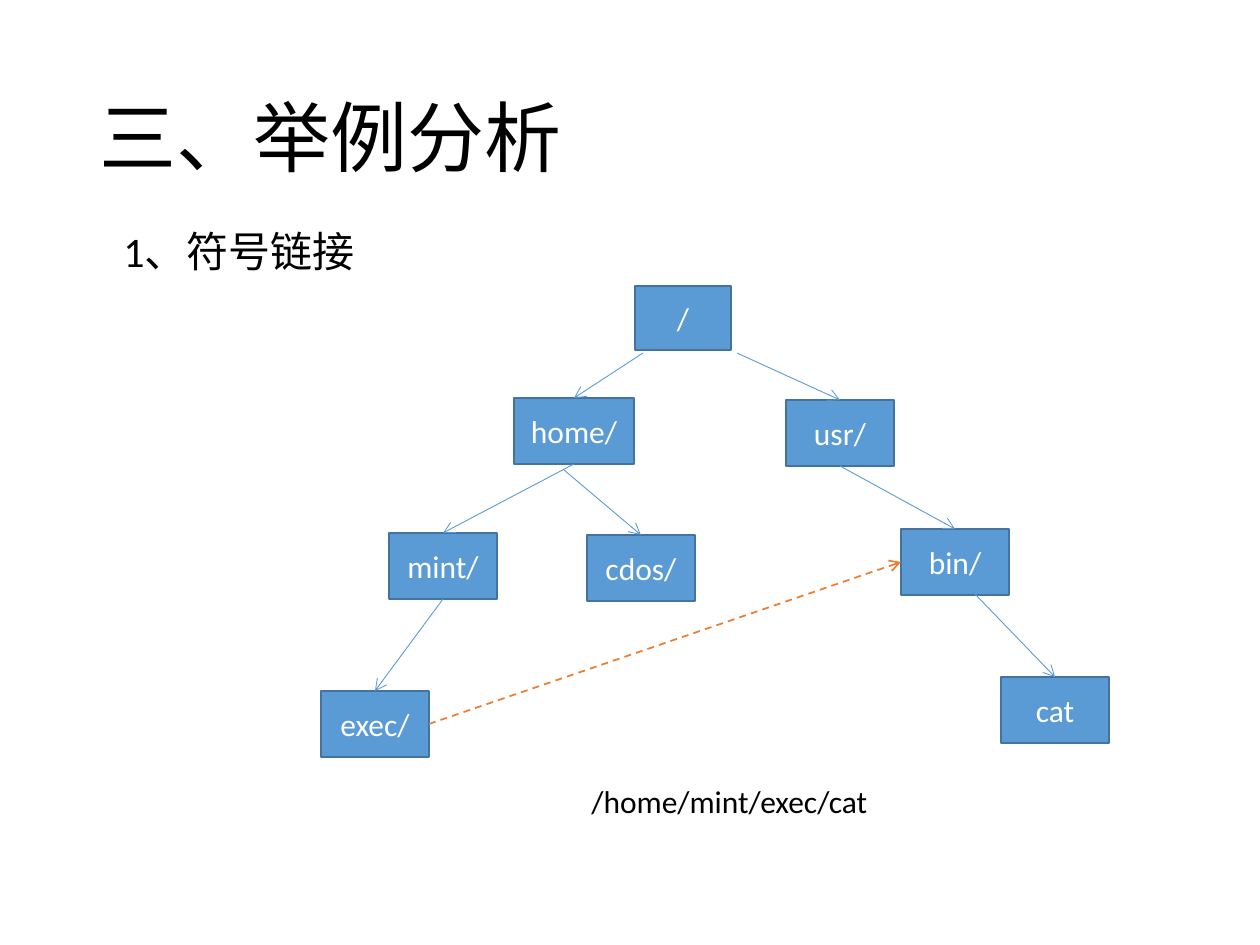
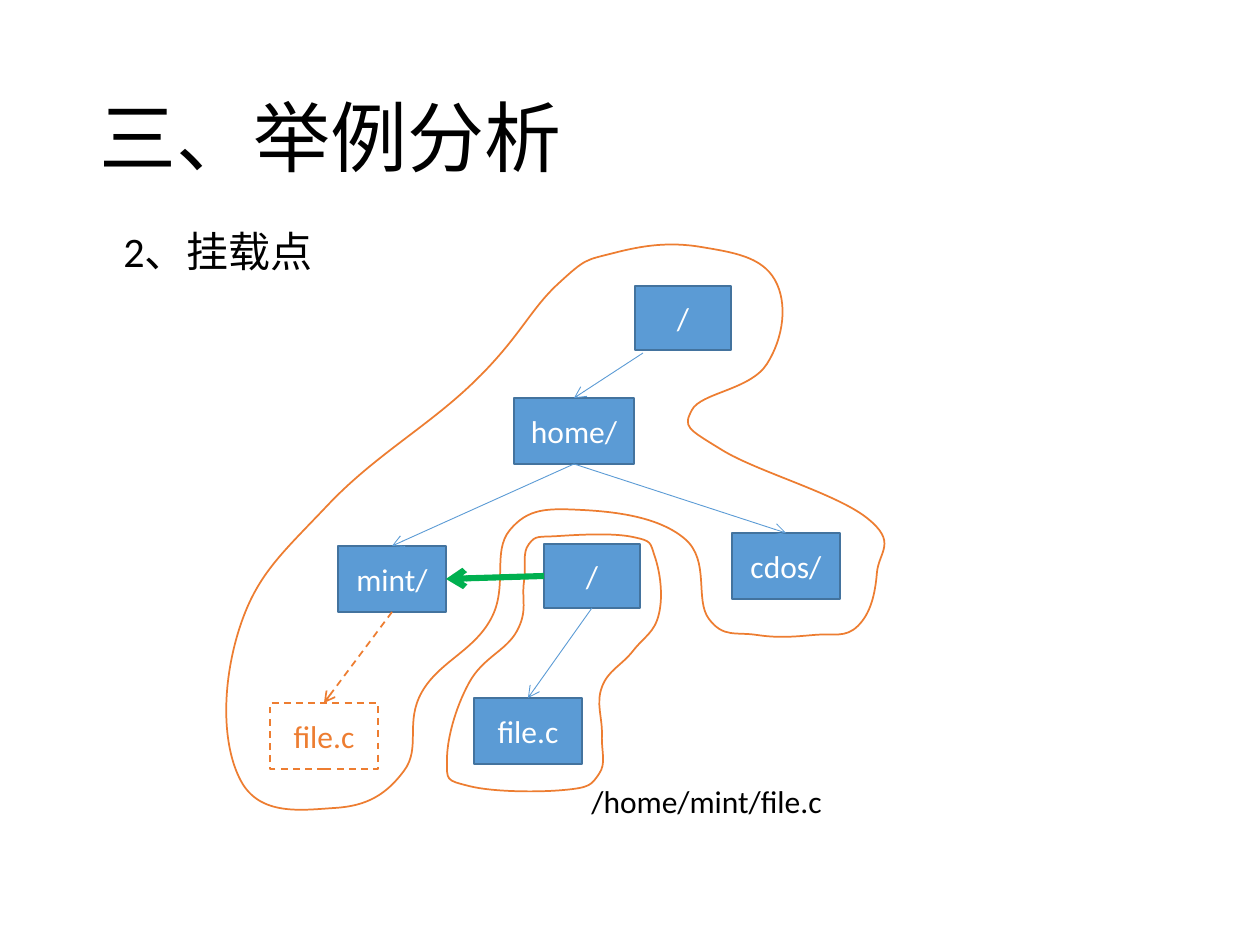
from lxml.etree import SubElement
from pptx import Presentation
from pptx.dml.color import RGBColor
from pptx.enum.dml import MSO_LINE
from pptx.enum.shapes import MSO_CONNECTOR, MSO_SHAPE
from pptx.enum.text import MSO_ANCHOR, MSO_AUTO_SIZE, PP_ALIGN
from pptx.oxml.ns import qn
from pptx.util import Pt

# Shared look
FONT = "Calibri"
BLACK, WHITE = "000000", "FFFFFF"
BLUE, DARK_BLUE, ORANGE, GREEN = "5B9BD5", "43739E", "ED7D31", "00B050"
PX_PER_INCH = 126
TITLE_BOX = (87, 50, 1087, 183)
HEADING_BOX = (111, 219, 329, 67)
CAPTION_BOX = (579, 776, 354, 53)
TREE_ORIGIN = (270, 286)
ROOT_SIZE, HOME_SIZE, NODE_SIZE = (96, 64), (120, 66), (108, 66)
TOP, LEFT, BOTTOM, RIGHT = range(4)  # connection sites of a rectangle

# Directory trees: key -> (label, offset, size)
SHARED_NODES = {
    "root": ("/", (365, 0), ROOT_SIZE),
    "home": ("home/", (244, 112), HOME_SIZE),
}
LINK_NODES = SHARED_NODES | {
    "mint": ("mint/", (119, 247), NODE_SIZE),
    "cdos": ("cdos/", (317, 249), NODE_SIZE),
    "usr": ("usr/", (516, 114), NODE_SIZE),
    "bin": ("bin/", (631, 243), NODE_SIZE),
    "exec": ("exec/", (51, 405), NODE_SIZE),
    "cat": ("cat", (731, 391), NODE_SIZE),
}
MOUNT_NODES = SHARED_NODES | {
    "mint": ("mint/", (68, 260), NODE_SIZE),
    "cdos": ("cdos/", (462, 247), NODE_SIZE),
    "visible file": ("file.c", (0, 417), NODE_SIZE),
    "mounted root": ("/", (274, 258), ROOT_SIZE),
    "mounted file": ("file.c", (204, 412), NODE_SIZE),
}

# Branches: (parent, child, free start offset or None)
LINK_BRANCHES = [
    ("root", "home", (373, 67)), ("home", "mint", None),
    ("root", "usr", (467, 67)), ("usr", "bin", None),
    ("bin", "cat", (703, 306)), ("home", "cdos", (294, 184)),
    ("mint", "exec", None),
]
MOUNT_BRANCHES = [
    ("root", "home", (373, 67)), ("home", "mint", None),
    ("home", "cdos", None), ("mounted root", "mounted file", None),
]

# Outlines around the two file systems: box and the knots of the curve
HOST_BOX = (-43, -42, 658, 565)
HOST_KNOTS = [
    (65, 522), (134, 485), (152, 406), (221, 333), (240, 244), (312, 224),
    (415, 253), (439, 333), (487, 349), (544, 349), (588, 340), (607, 287),
    (597, 232), (452, 164), (422, 124), (497, 78), (505, -6), (431, -39),
    (344, -33), (288, -2), (203, 97), (58, 219), (-31, 344), (-29, 495),
]
MOUNTED_BOX = (177, 248, 214, 257)
MOUNTED_KNOTS = [
    (199, 397), (247, 345), (254, 296), (259, 258), (289, 250), (363, 251),
    (385, 271), (389, 328), (363, 365), (332, 401), (332, 449), (329, 488),
    (294, 504), (199, 500), (177, 474),
]


def px(value):
    return round(value * 914400 / PX_PER_INCH)


def color(hex_string):
    return RGBColor.from_string(hex_string)


def from_origin(offset):
    return tuple(start + step for start, step in zip(TREE_ORIGIN, offset))


def place(shape, box):
    shape.left, shape.top, shape.width, shape.height = map(px, box)


def write(frame, text, size=18, ink=BLACK, align=PP_ALIGN.LEFT,
          anchor=MSO_ANCHOR.TOP, spacing=None):
    frame.word_wrap = True
    frame.auto_size = MSO_AUTO_SIZE.NONE
    frame.vertical_anchor = anchor
    paragraph = frame.paragraphs[0]
    paragraph.alignment = align
    paragraph.line_spacing = spacing
    run = paragraph.add_run()
    run.text = text
    run.font.name = FONT
    run.font.size = Pt(size)
    run.font.color.rgb = color(ink)


def set_line(line, ink, width, dashed=False):
    line.color.rgb = color(ink)
    line.width = Pt(width)
    if dashed:
        line.dash_style = MSO_LINE.DASH


def add_text(slide, box, text, **text_format):
    label = slide.shapes.add_textbox(*map(px, box))
    write(label.text_frame, text, **text_format)


def add_node(slide, label, offset, size, ghost=False):
    box = (*from_origin(offset), *size)
    node = slide.shapes.add_shape(MSO_SHAPE.RECTANGLE, *map(px, box))
    node.shadow.inherit = False
    node.fill.solid()
    node.fill.fore_color.rgb = color(WHITE if ghost else BLUE)
    set_line(node.line, ORANGE if ghost else DARK_BLUE, 1, ghost)
    write(node.text_frame, label, ink=ORANGE if ghost else WHITE,
          align=PP_ALIGN.CENTER, anchor=MSO_ANCHOR.MIDDLE)
    return node


def add_arrow(slide, parent, child, sites=(BOTTOM, TOP), start=None,
              ink=BLUE, width=0.5, dashed=False):
    x, y = map(px, from_origin(start or (0, 0)))
    arrow = slide.shapes.add_connector(MSO_CONNECTOR.STRAIGHT, x, y, x, y)
    if start is None:
        arrow.begin_connect(parent, sites[0])
    arrow.end_connect(child, sites[1])
    set_line(arrow.line, ink, width, dashed)
    SubElement(arrow.line._get_or_add_ln(), qn("a:tailEnd"), type="arrow")
    SubElement(arrow._element.spPr, qn("a:effectLst"))


def curve_handles(before, a, b, after, tension=0.2):
    """Control points from a to b, steered by the neighbouring knots."""
    leave = tuple(p + tension * (q - o) for o, p, q in zip(before, a, b))
    arrive = tuple(q - tension * (r - p) for p, q, r in zip(a, b, after))
    return leave, arrive


def add_outline(slide, box, knots):
    builder = slide.shapes.build_freeform(*knots[0], scale=px(1))
    builder.add_line_segments([*knots[1:], knots[0]], close=True)
    outline = builder.convert_to_shape()
    left, top, width, height = box
    place(outline, (*from_origin((left, top)), width, height))
    outline.shadow.inherit = False
    outline.fill.background()
    set_line(outline.line, ORANGE, 1)

    # Bend the straight segments into smooth curves
    curve = outline._element.find(".//" + qn("a:path"))
    curve.set("w", str(px(width)))
    curve.set("h", str(px(height)))

    def add_point(parent, point):
        SubElement(parent, qn("a:pt"), x=str(px(point[0] - left)),
                   y=str(px(point[1] - top)))

    for part in list(curve):
        curve.remove(part)
    add_point(SubElement(curve, qn("a:moveTo")), knots[0])
    for i in range(len(knots)):
        before, a, b, after = (knots[(i + k) % len(knots)]
                               for k in (-1, 0, 1, 2))
        segment = SubElement(curve, qn("a:cubicBezTo"))
        for point in (*curve_handles(before, a, b, after), b):
            add_point(segment, point)
    SubElement(curve, qn("a:close"))


def add_tree(slide, nodes, branches, ghost=None):
    boxes = {key: add_node(slide, *node, ghost=key == ghost)
             for key, node in nodes.items()}
    for parent, child, start in branches:
        add_arrow(slide, boxes[parent], boxes[child], start=start)
    return boxes


def add_example_slide(deck, heading, caption):
    slide = deck.slides.add_slide(deck.slide_layouts[5])
    title = slide.shapes.title
    place(title, TITLE_BOX)
    write(title.text_frame, "三、举例分析", size=44,
          anchor=MSO_ANCHOR.MIDDLE, spacing=0.9)
    add_text(slide, HEADING_BOX, heading, size=24)
    add_text(slide, CAPTION_BOX, caption)
    return slide


def add_symbolic_link_slide(deck):
    slide = add_example_slide(deck, "1、符号链接", "/home/mint/exec/cat")
    boxes = add_tree(slide, LINK_NODES, LINK_BRANCHES)
    # The link from exec/ to bin/
    add_arrow(slide, boxes["exec"], boxes["bin"], sites=(RIGHT, LEFT),
              ink=ORANGE, width=1, dashed=True)


def add_mount_point_slide(deck):
    slide = add_example_slide(deck, "2、挂载点", "/home/mint/file.c")
    boxes = add_tree(slide, MOUNT_NODES, MOUNT_BRANCHES, ghost="visible file")
    add_arrow(slide, boxes["mint"], boxes["visible file"],
              ink=ORANGE, width=1, dashed=True)
    add_outline(slide, HOST_BOX, HOST_KNOTS)
    add_outline(slide, MOUNTED_BOX, MOUNTED_KNOTS)
    # The mount onto mint/
    add_arrow(slide, boxes["mounted root"], boxes["mint"],
              sites=(LEFT, RIGHT), ink=GREEN, width=3.5)


def main():
    deck = Presentation()
    deck.slide_width, deck.slide_height = px(1260), px(945)
    add_symbolic_link_slide(deck)
    add_mount_point_slide(deck)
    deck.save("out.pptx")


if __name__ == "__main__":
    main()
